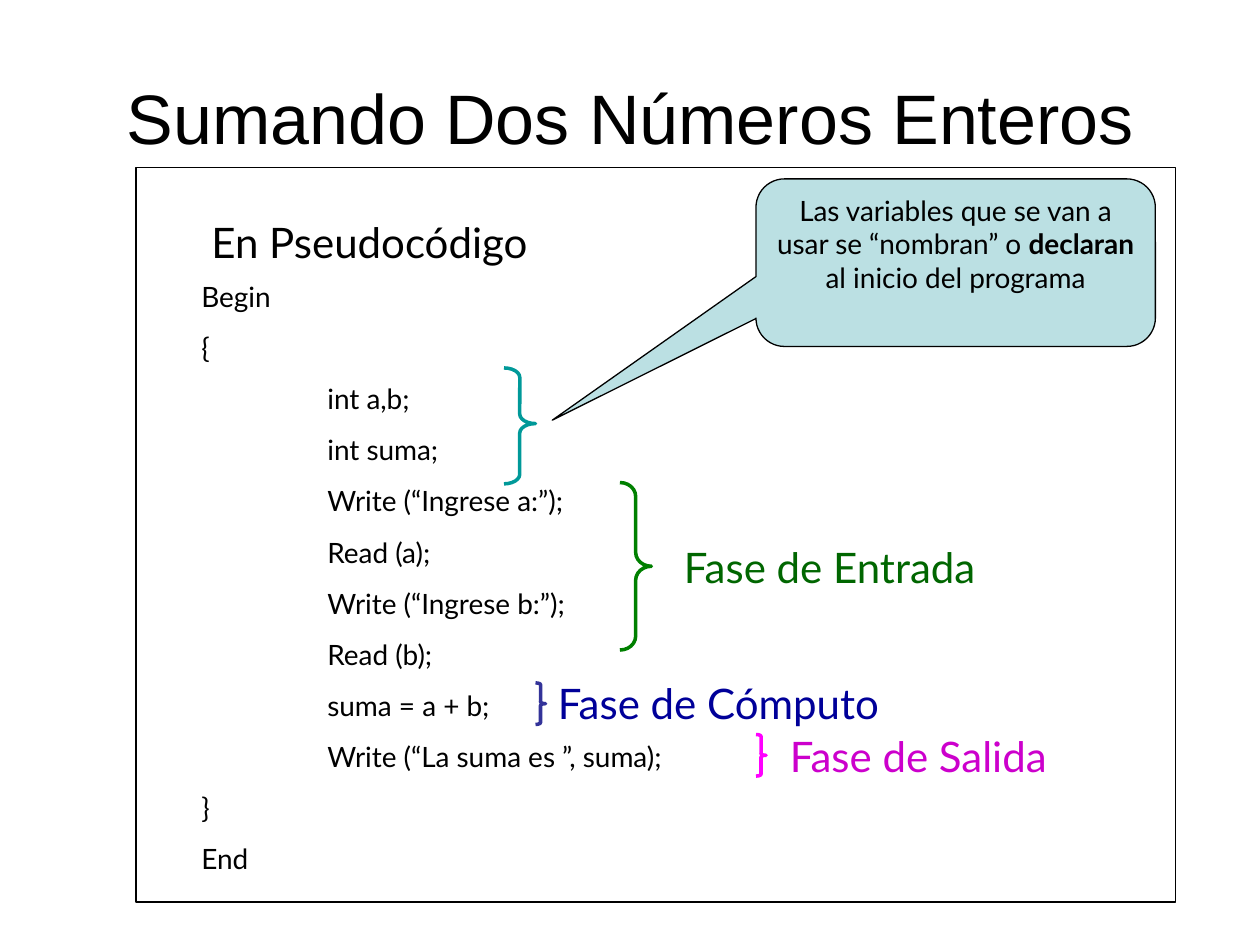
from lxml.etree import SubElement
from pptx import Presentation
from pptx.dml.color import RGBColor
from pptx.enum.shapes import MSO_SHAPE
from pptx.enum.text import MSO_ANCHOR, PP_ALIGN
from pptx.oxml.ns import qn
from pptx.util import Inches, Pt

BLACK = "000000"
CODE_LINES = [
    "Begin",
    "{",
    "\tint a,b;",
    "\tint suma;",
    "\tWrite (“Ingrese a:”);",
    "\tRead (a);",
    "\tWrite (“Ingrese b:”);",
    "\tRead (b);",
    "\tsuma = a + b;",
    "\tWrite (“La suma es ”, suma);",
    "}",
    "End",
]


def color(hex_string):
    return RGBColor.from_string(hex_string)


def format_runs(paragraph, size, hex_color=BLACK, font_name="Lato"):
    for run in paragraph.runs:
        run.font.size = Pt(size)
        run.font.name = font_name
        run.font.color.rgb = color(hex_color)


def add_tab_stop(paragraph, position):
    tab_list = SubElement(paragraph._p.get_or_add_pPr(), qn("a:tabLst"))
    SubElement(tab_list, qn("a:tab"), pos=str(Inches(position)), algn="l")


def add_text(slide, left, top, width, height, text, size, space_before=0,
             hex_color=BLACK, font_name="Lato", align=PP_ALIGN.LEFT,
             anchor=MSO_ANCHOR.TOP):
    box = slide.shapes.add_textbox(
        Inches(left), Inches(top), Inches(width), Inches(height))
    text_frame = box.text_frame
    text_frame.word_wrap = True
    text_frame.vertical_anchor = anchor
    text_frame.text = text
    for paragraph in text_frame.paragraphs:
        paragraph.alignment = align
        paragraph.space_before = Pt(space_before)
        format_runs(paragraph, size, hex_color, font_name)
    return text_frame


def add_shape(slide, kind, left, top, width, height, fill, line, line_width):
    """Add a preset shape; a fill of None leaves it empty."""
    shape = slide.shapes.add_shape(
        kind, Inches(left), Inches(top), Inches(width), Inches(height))
    shape.shadow.inherit = False
    if fill is None:
        shape.fill.background()
    else:
        shape.fill.solid()
        shape.fill.fore_color.rgb = color(fill)
    shape.line.color.rgb = color(line)
    shape.line.width = Pt(line_width)
    return shape


def add_title(slide, left, top, width, height):
    add_text(slide, left, top, width, height, "Sumando Dos Números Enteros", 40,
             font_name="Arial", align=PP_ALIGN.CENTER, anchor=MSO_ANCHOR.MIDDLE)


def add_pseudocode(slide, left, top, width, height):
    add_shape(slide, MSO_SHAPE.RECTANGLE, left, top, width, height,
              "FFFFFF", BLACK, 0.75)
    add_text(slide, left + 0.5, top + 0.34, 3.67, 0.5, "En Pseudocódigo", 24, 15)
    code = add_text(slide, left + 0.42, top + 0.84, 5.17, 4.83,
                    "\n".join(CODE_LINES), 16, 10)
    for paragraph in code.paragraphs:
        add_tab_stop(paragraph, 1)


def add_brace(slide, left, top, width, height, hex_color, curve, tip=0.5):
    """Curve is relative to the width, tip to the height."""
    brace = add_shape(slide, MSO_SHAPE.RIGHT_BRACE, left, top, width, height,
                      None, hex_color, 2)
    brace.adjustments[0] = curve
    brace.adjustments[1] = tip


def add_phase(slide, left, top, width, height, brace_color, curve,
              label, label_color, label_offset, label_width):
    """Bracket some code lines and name their phase to the right."""
    add_brace(slide, left, top, width, height, brace_color, curve)
    add_text(slide, left + label_offset[0], top + label_offset[1],
             label_width, 0.5, label, 24, 15, label_color)


def add_callout(slide, left, top, width, height):
    callout = add_shape(slide, MSO_SHAPE.ROUNDED_RECTANGULAR_CALLOUT,
                        left, top, width, height, "BBE0E3", BLACK, 0.75)
    for index, value in enumerate((-1.01, 0.94, 0.17)):
        callout.adjustments[index] = value
    text_frame = callout.text_frame
    text_frame.word_wrap = True
    text_frame.vertical_anchor = MSO_ANCHOR.TOP
    paragraph = text_frame.paragraphs[0]
    paragraph.alignment = PP_ALIGN.CENTER
    for text in ("Las variables que se van a usar se “nombran” o ",
                 "declaran", " al inicio del programa"):
        run = paragraph.add_run()
        run.text = text
        run.font.bold = text == "declaran"
    format_runs(paragraph, 16)


def main():
    presentation = Presentation()
    presentation.slide_width = Inches(10)
    presentation.slide_height = Inches(7.5)
    slide = presentation.slides.add_slide(presentation.slide_layouts[6])

    add_title(slide, 0.5, 0.3, 9, 1.25)
    add_pseudocode(slide, 1.08, 1.33, 8.25, 5.83)
    add_brace(slide, 4, 2.92, 0.25, 0.92, "009999", 0.3, 0.48)
    add_phase(slide, 4.92, 3.83, 0.25, 1.33, "008000", 0.44,
              "Fase de Entrada", "006600", (0.41, 0.42), 3.42)
    add_phase(slide, 4.25, 5.42, 0.08, 0.33, "333399", 0.17,
              "Fase de Cómputo", "000099", (0.08, -0.09), 3.42)
    add_phase(slide, 6, 5.83, 0.08, 0.33, "FF00FF", 0.17,
              "Fase de Salida", "CC00CC", (0.17, -0.08), 2.5)
    add_callout(slide, 6, 1.42, 3.17, 1.33)

    presentation.save("out.pptx")


if __name__ == "__main__":
    main()
